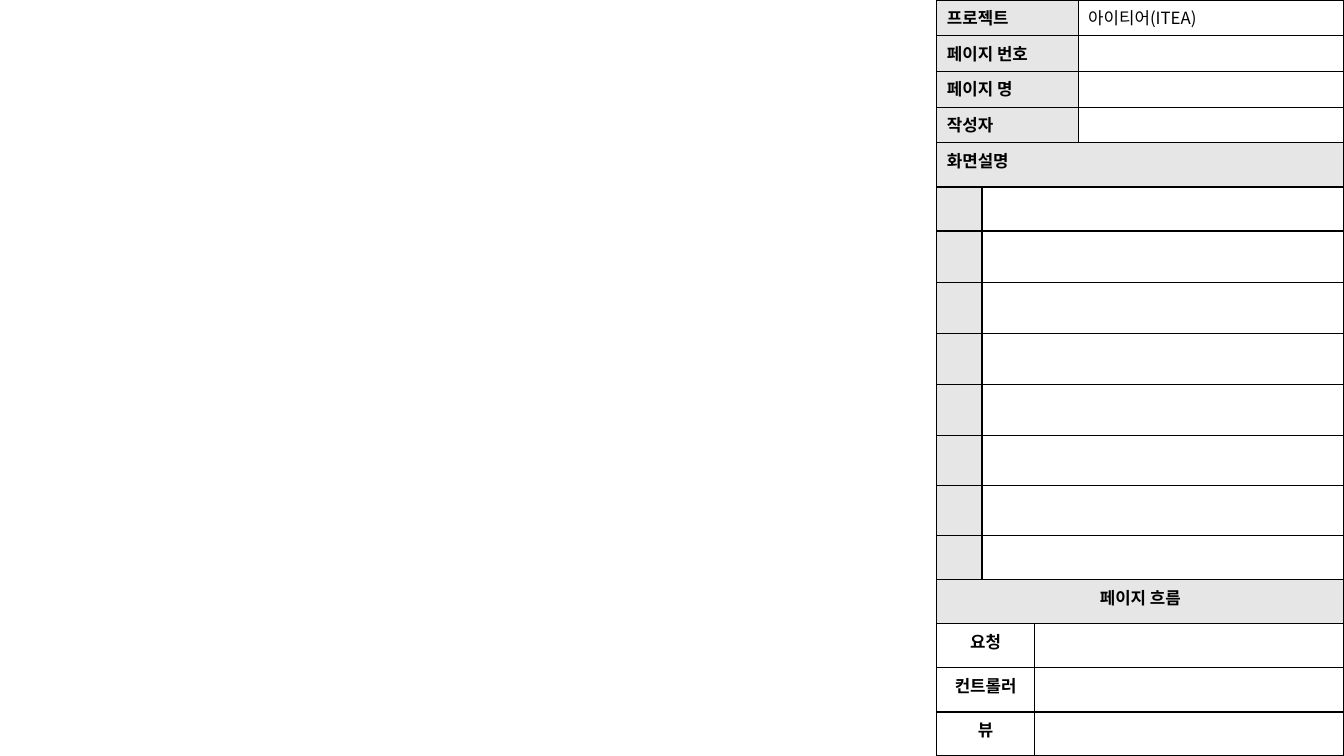
from lxml import etree
from pptx import Presentation
from pptx.dml.color import RGBColor
from pptx.enum.text import PP_ALIGN
from pptx.oxml.ns import qn
from pptx.util import Cm, Pt

LEFT, CENTER = PP_ALIGN.LEFT, PP_ALIGN.CENTER
FONT = "Noto Sans CJK KR"
TEXT_SIZE = 12
BORDER_WIDTH = 1
COLORS = {"ink": "000000", "label": "E7E6E6"}

PROJECT_INFO = [
    ("프로젝트", "아이티어(ITEA)"),
    ("페이지 번호", ""),
    ("페이지 명", ""),
    ("작성자", ""),
]
DESCRIPTION_TITLE = "화면설명"
DESCRIPTION_COUNT = 8
FLOW_TITLE = "페이지 흐름"
FLOW_STEPS = ["요청", "컨트롤러", "뷰"]

PANEL_LEFT = 23.61
INFO_COLUMNS = [3.56, 6.7]
INFO_ROWS = [0.9] * len(PROJECT_INFO)
DETAIL_COLUMNS = [1.14, 1.32, 7.8]
DETAIL_ROWS = [1.11] * 2 + [1.29] * 4 + [1.26] * 2 + [1.11] * 5


def add_borders(cell):
    properties = cell._tc.get_or_add_tcPr()
    for index, side in enumerate(("a:lnL", "a:lnR", "a:lnT", "a:lnB")):
        line = etree.Element(qn(side), w=str(Pt(BORDER_WIDTH)))
        fill = etree.SubElement(line, qn("a:solidFill"))
        etree.SubElement(fill, qn("a:srgbClr"), val=COLORS["ink"])
        properties.insert(index, line)


def add_grid(page, top, columns, rows):
    frame = page.shapes.add_table(
        len(rows), len(columns), Cm(PANEL_LEFT), Cm(top),
        Cm(sum(columns)), Cm(sum(rows)))
    table = frame.table
    table.first_row = False
    table.horz_banding = False
    for column, width in zip(table.columns, columns):
        column.width = Cm(width)
    for row, height in zip(table.rows, rows):
        row.height = Cm(height)
        for cell in row.cells:
            cell.fill.background()
            add_borders(cell)
            ending = etree.SubElement(cell.text_frame.paragraphs[0]._p, qn("a:endParaRPr"))
            ending.set("sz", str(TEXT_SIZE * 100))
    return table


def shade(cell):
    cell.fill.solid()
    cell.fill.fore_color.rgb = RGBColor.from_string(COLORS["label"])


def write(cell, text, bold=True, align=LEFT):
    para = cell.text_frame.paragraphs[0]
    para.text = text
    para.alignment = align
    for span in para.runs:
        span.font.name = FONT
        span.font.size = Pt(TEXT_SIZE)
        span.font.bold = bold
        span.font.color.rgb = RGBColor.from_string(COLORS["ink"])
        etree.SubElement(span.font._element, qn("a:ea"), typeface=FONT)


def add_project_info(page):
    table = add_grid(page, 0, INFO_COLUMNS, INFO_ROWS)
    for row, (label, value) in enumerate(PROJECT_INFO):
        shade(table.cell(row, 0))
        write(table.cell(row, 0), label)
        write(table.cell(row, 1), value, bold=False)


def add_title_row(table, row, title, align):
    table.cell(row, 0).merge(table.cell(row, 2))
    shade(table.cell(row, 0))
    write(table.cell(row, 0), title, align=align)


def add_page_details(page):
    table = add_grid(page, sum(INFO_ROWS), DETAIL_COLUMNS, DETAIL_ROWS)
    flow_row = DESCRIPTION_COUNT + 1
    add_title_row(table, 0, DESCRIPTION_TITLE, LEFT)
    for row in range(1, flow_row):
        shade(table.cell(row, 0))
        table.cell(row, 1).merge(table.cell(row, 2))
    add_title_row(table, flow_row, FLOW_TITLE, CENTER)
    for row, step in enumerate(FLOW_STEPS, flow_row + 1):
        table.cell(row, 0).merge(table.cell(row, 1))
        write(table.cell(row, 0), step, align=CENTER)


def main():
    deck = Presentation()
    deck.slide_width, deck.slide_height = Cm(33.87), Cm(19.05)
    page = deck.slides.add_slide(deck.slide_layouts[6])
    add_project_info(page)
    add_page_details(page)
    deck.save("out.pptx")


if __name__ == "__main__":
    main()
